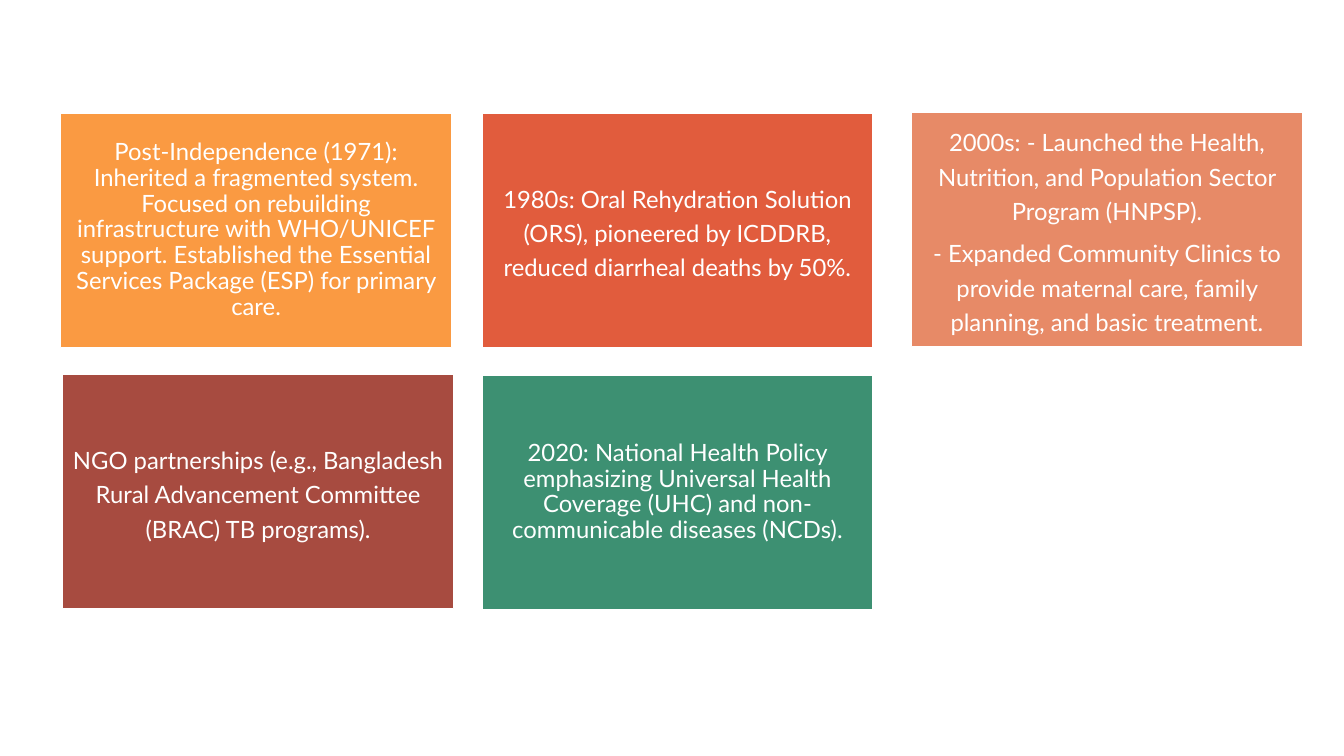
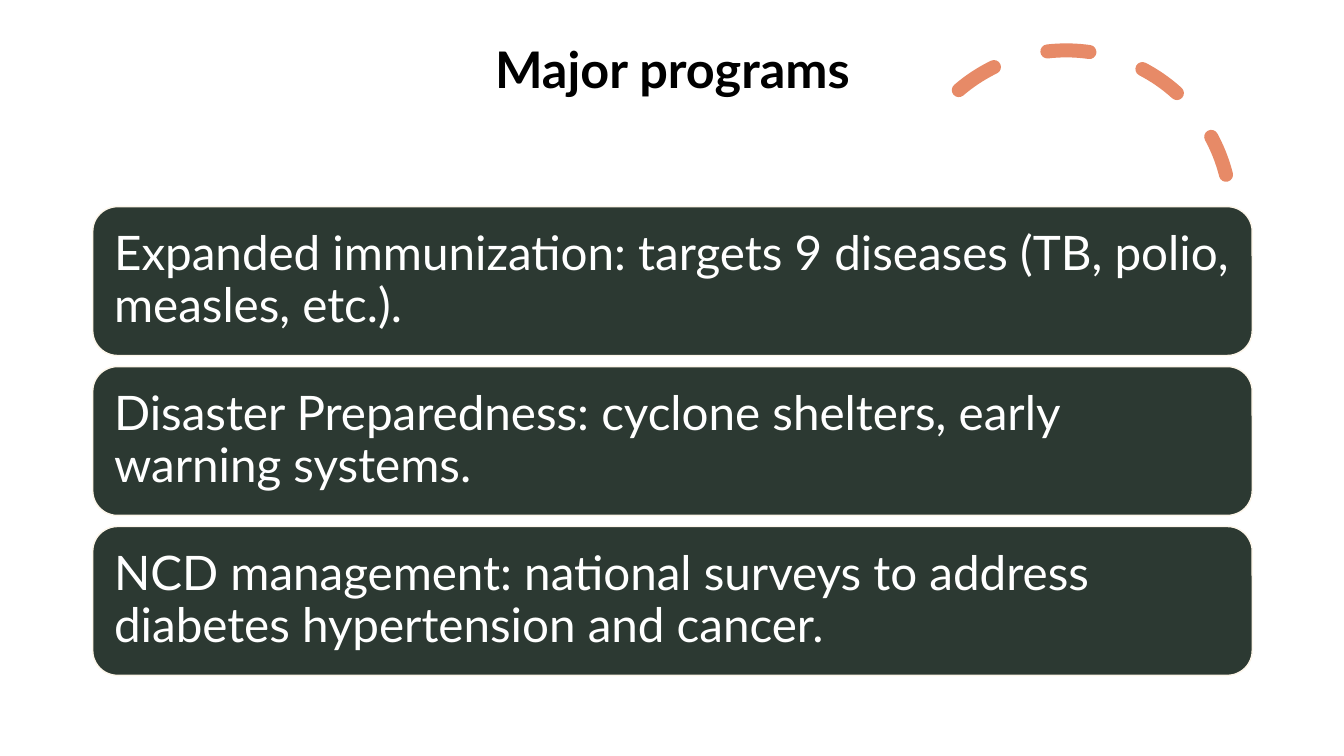
from lxml import etree
from pptx import Presentation
from pptx.dml.color import RGBColor
from pptx.enum import dml, shapes, text
from pptx.util import Inches, Pt

COLORS = {
    "white": "FFFFFF", "black": "000000", "cream": "FDF6EA",
    "orange": "FA9A42", "red": "E15C3D", "salmon": "E78A67",
    "brick": "A74B40", "green": "3D9072", "forest": "2C3932",
}
FONT = "Lato"

# Left, top, fill, line spacing, paragraphs
MILESTONES = [
    (0.6, 1.12, "orange", 0.9, [
        "Post-Independence (1971): Inherited a fragmented system. Focused on "
        "rebuilding infrastructure with WHO/UNICEF support. Established the "
        "Essential Services Package (ESP) for primary care."]),
    (4.78, 1.12, "red", 1.2, [
        "1980s: Oral Rehydration Solution (ORS), pioneered by ICDDRB, "
        "reduced diarrheal deaths by 50%."]),
    (9.04, 1.11, "salmon", 1.2, [
        "2000s: - Launched the Health, Nutrition, and Population Sector "
        "Program (HNPSP).",
        "- Expanded Community Clinics to provide maternal care, family "
        "planning, and basic treatment."]),
    (0.62, 3.71, "brick", 1.2, [
        "NGO partnerships (e.g., Bangladesh Rural Advancement Committee "
        "(BRAC) TB programs)."]),
    (4.78, 3.72, "green", 0.9, [
        "2020: National Health Policy emphasizing Universal Health Coverage "
        "(UHC) and non-communicable diseases (NCDs)."]),
]
PROGRAMS = [
    "Expanded immunization: targets 9 diseases (TB, polio, measles, etc.).",
    "Disaster Preparedness: cyclone shelters, early warning systems.",
    "NCD management: national surveys to address diabetes hypertension and cancer.",
]


def rgb(name):
    return RGBColor.from_string(COLORS[name])


def write(sp, lines, size, align, spacing, color="white", bold=False,
          inset=None, anchor=text.MSO_ANCHOR.MIDDLE):
    """Fill a shape with evenly styled paragraphs."""
    tf = sp.text_frame
    tf.word_wrap = True
    tf.vertical_anchor = anchor
    if inset is not None:
        tf.margin_left = tf.margin_right = Inches(inset)
        tf.margin_top = tf.margin_bottom = Inches(inset)
    tf.text = "\n".join(lines)
    for i, p in enumerate(tf.paragraphs):
        p.alignment = align
        p.line_spacing = spacing
        if i:
            p.space_before = Pt(size * 0.35)
        for r in p.runs:
            r.font.name = FONT
            r.font.size = Pt(size)
            r.font.bold = bold
            r.font.color.rgb = rgb(color)


def add_box(s, kind, box, fill, line):
    sp = s.shapes.add_shape(kind, *map(Inches, box))
    sp.shadow.inherit = False
    sp.fill.solid()
    sp.fill.fore_color.rgb = rgb(fill)
    sp.line.color.rgb = rgb(line)
    sp.line.width = Pt(1)
    return sp


def add_title(s, title, box):
    tb = s.shapes.add_textbox(*map(Inches, box))
    write(tb, [title], 36, text.PP_ALIGN.CENTER, 0.9, "black", True,
          anchor=text.MSO_ANCHOR.TOP)


def add_dashed_arc(s, box):
    sp = s.shapes.add_shape(shapes.MSO_SHAPE.ARC, *map(Inches, box))
    sp.shadow.inherit = False
    sp.adjustments[0] = 146.13
    sp.adjustments[1] = 0
    sp.rotation = 345.8
    sp.fill.background()
    sp.line.color.rgb = rgb("salmon")
    sp.line.width = Pt(10)
    sp.line.dash_style = dml.MSO_LINE.DASH
    # Round dash ends
    etree.SubElement(
        sp.line._get_or_add_ln(),
        "{http://schemas.openxmlformats.org/drawingml/2006/main}round")
    sp.line._get_or_add_ln().set("cap", "rnd")


def add_program_bars(s, box, gap):
    left, top, width, height = box
    bar_height = (height - gap * (len(PROGRAMS) - 1)) / len(PROGRAMS)
    for i, program in enumerate(PROGRAMS):
        bar = (left, top + i * (bar_height + gap), width, bar_height)
        sp = add_box(s, shapes.MSO_SHAPE.ROUNDED_RECTANGLE, bar, "forest", "cream")
        write(sp, [program], 34, text.PP_ALIGN.LEFT, 0.9, inset=0.14)


def milestones_slide(prs):
    s = prs.slides.add_slide(prs.slide_layouts[6])
    for left, top, fill, spacing, lines in MILESTONES:
        sp = add_box(s, shapes.MSO_SHAPE.RECTANGLE, (left, top, 3.88, 2.33),
                     fill, "white")
        write(sp, lines, 17, text.PP_ALIGN.CENTER, spacing, inset=0.07)


def programs_slide(prs):
    s = prs.slides.add_slide(prs.slide_layouts[6])
    add_dashed_arc(s, (8.94, 0.5, 3.27, 3.27))
    add_title(s, "Major programs", (0.92, 0.4, 11.5, 1.45))
    add_program_bars(s, (0.92, 2.05, 11.5, 4.65), 0.11)


def main():
    prs = Presentation()
    prs.slide_width, prs.slide_height = Inches(13.33), Inches(7.5)
    milestones_slide(prs)
    programs_slide(prs)
    prs.save("out.pptx")


if __name__ == "__main__":
    main()
